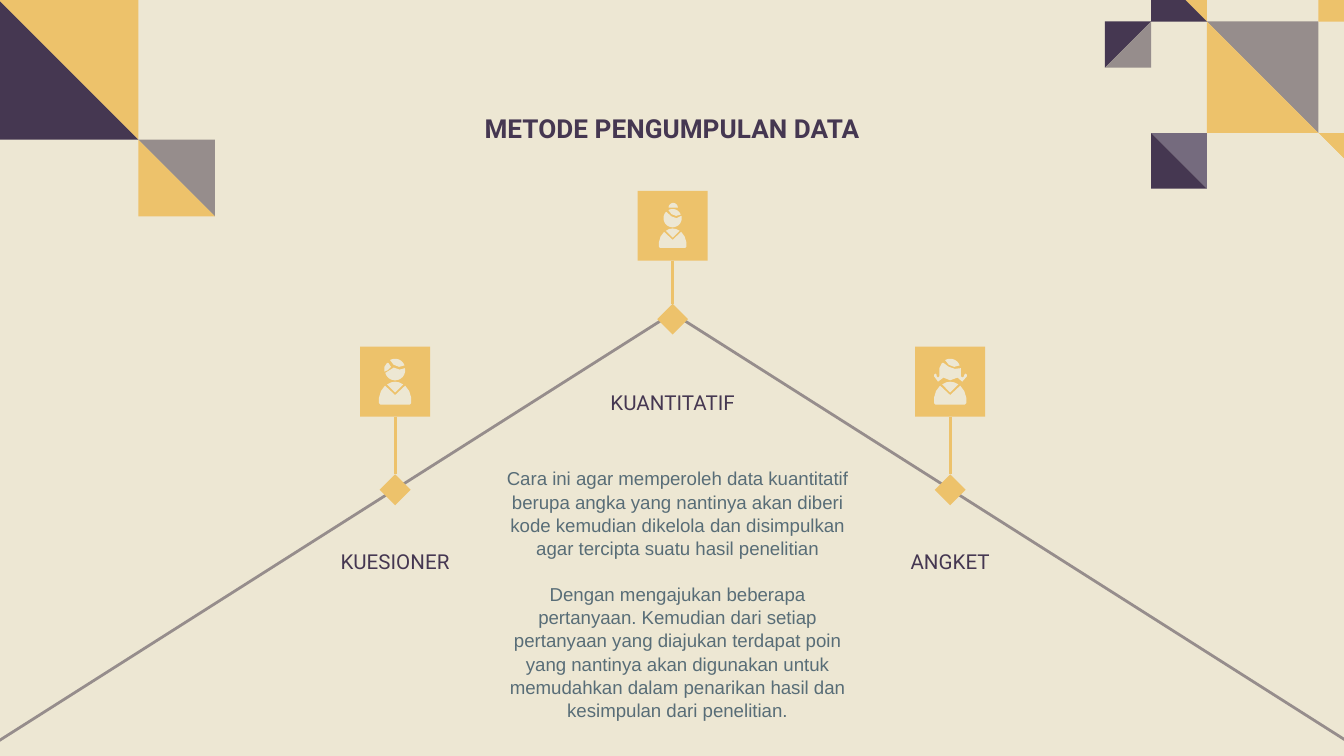
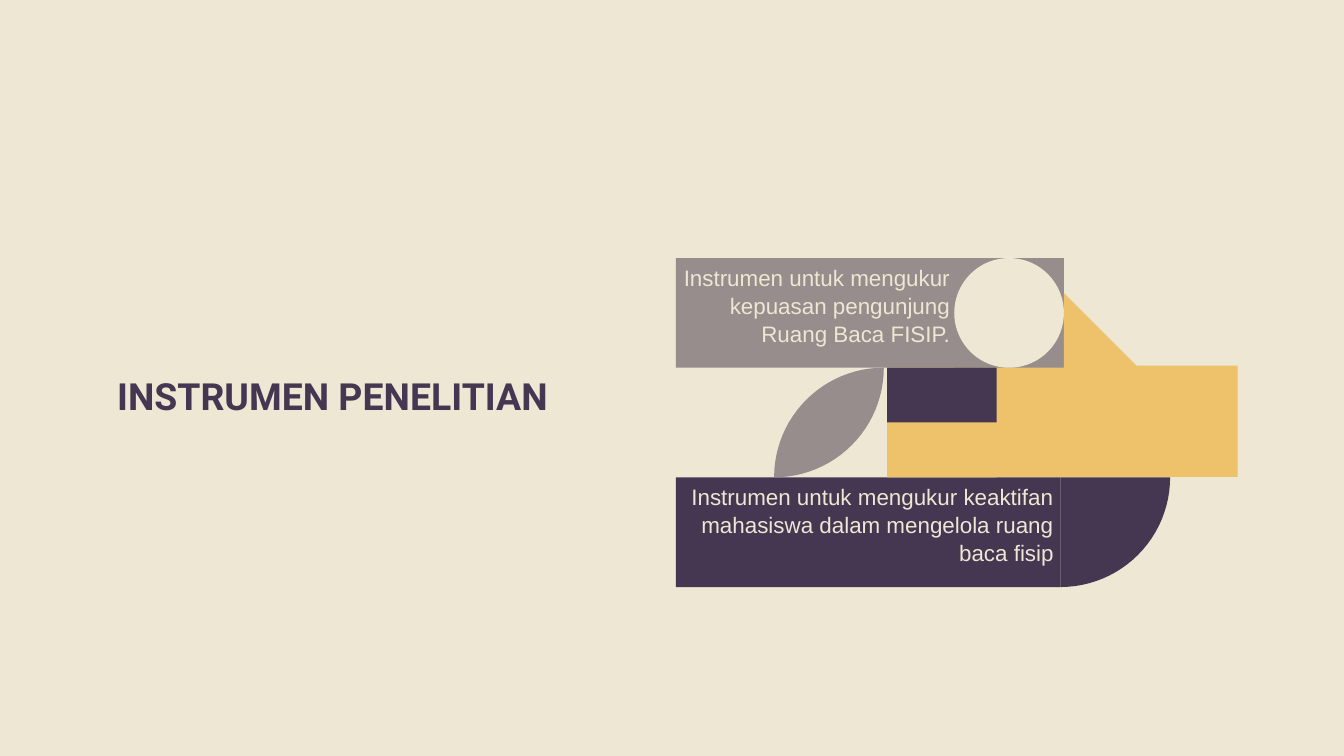
from dataclasses import dataclass
from math import cos, radians, sin

from lxml import etree
from pptx import Presentation
from pptx.dml.color import RGBColor
from pptx.enum.shapes import MSO_CONNECTOR, MSO_SHAPE
from pptx.enum.text import MSO_ANCHOR, PP_ALIGN
from pptx.oxml.ns import qn
from pptx.util import Emu, Inches, Pt

CREAM = RGBColor(0xED, 0xE7, 0xD3)
PLUM = RGBColor(0x45, 0x37, 0x51)
MAUVE = RGBColor(0x75, 0x6B, 0x7E)
GOLD = RGBColor(0xED, 0xC2, 0x6B)
TAUPE = RGBColor(0x96, 0x8D, 0x8C)
SLATE = RGBColor(0x58, 0x6D, 0x77)

RECT, DIAMOND, OVAL = MSO_SHAPE.RECTANGLE, MSO_SHAPE.DIAMOND, MSO_SHAPE.OVAL
MERGE = MSO_SHAPE.FLOWCHART_MERGE
STRAIGHT = MSO_CONNECTOR.STRAIGHT
CENTER, RIGHT = PP_ALIGN.CENTER, PP_ALIGN.RIGHT
TOP, MIDDLE, BOTTOM = MSO_ANCHOR.TOP, MSO_ANCHOR.MIDDLE, MSO_ANCHOR.BOTTOM

HEADING_FONT, BODY_FONT = "Roboto", "Arial"
SLIDE_WIDTH, SLIDE_HEIGHT = Inches(10), Inches(5.625)
COLUMNS = 100
CELL = SLIDE_WIDTH / COLUMNS
LINE_WIDTH = Pt(1.5)

Point = tuple[float, float]
Box = tuple[float, float, float, float]


@dataclass(frozen=True)
class Tile:
    left: float
    top: float
    side: float
    upper: RGBColor
    lower: RGBColor
    rising: bool = False


@dataclass(frozen=True)
class Method:
    label: str
    label_top: float
    center: float
    badge_top: float
    diamond_top: float
    portrait: list[list[Point]]
    portrait_scale: float = 1
    portrait_shift: float = 0


def cells(count: float) -> Emu:
    return Emu(round(count * CELL))


def arc(x: float, y: float, radius: float, start: int, end: int) -> list[Point]:
    steps = 24
    angles = [radians(start + (end - start) * i / steps) for i in range(steps + 1)]
    return [(x + radius * cos(a), y + radius * sin(a)) for a in angles]


def paint(shape, fill: RGBColor | None, line: RGBColor | None = None):
    shape.shadow.inherit = False
    if fill is None:
        shape.fill.background()
    else:
        shape.fill.solid()
        shape.fill.fore_color.rgb = fill
    if line is None:
        shape.line.fill.background()
    else:
        shape.line.color.rgb = line
        shape.line.width = LINE_WIDTH
    return shape


def add_preset(slide, preset, box: Box, fill: RGBColor | None, line: RGBColor | None = None):
    return paint(slide.shapes.add_shape(preset, *map(cells, box)), fill, line)


def add_outline(slide, points: list[Point], fill: RGBColor):
    corners = [(cells(x), cells(y)) for x, y in points]
    builder = slide.shapes.build_freeform(*corners[0], scale=1.0)
    builder.add_line_segments(corners[1:], close=True)
    return paint(builder.convert_to_shape(), fill)


def add_text(slide, box: Box, *paragraphs: str, size: float, color: RGBColor,
             font: str = HEADING_FONT, bold: bool = False, align=CENTER, anchor=TOP,
             insets: Box = (1, 1, 1, 1), gap: float = 0, spacing: float = 1) -> None:
    frame = slide.shapes.add_textbox(*map(cells, box)).text_frame
    frame.word_wrap = True
    frame.vertical_anchor = anchor
    frame.margin_left, frame.margin_top, frame.margin_right, frame.margin_bottom = map(cells, insets)
    for index, text in enumerate(paragraphs):
        paragraph = frame.add_paragraph() if index else frame.paragraphs[0]
        paragraph.alignment = align
        paragraph.line_spacing = spacing
        paragraph.space_before = Pt(gap if index else 0)
        run = paragraph.add_run()
        run.text = text
        run.font.name = font
        run.font.size = Pt(size)
        run.font.bold = bold
        run.font.color.rgb = color


def add_title(slide, box: Box, text: str, size: float) -> None:
    add_text(slide, box, text, size=size, color=PLUM, bold=True, anchor=MIDDLE)


def add_tile(slide, tile: Tile) -> None:
    right, bottom = tile.left + tile.side, tile.top + tile.side
    top_left, top_right = (tile.left, tile.top), (right, tile.top)
    bottom_left, bottom_right = (tile.left, bottom), (right, bottom)
    if tile.rising:
        upper, lower = [top_right, top_left, bottom_left], [top_right, bottom_right, bottom_left]
    else:
        upper, lower = [top_left, top_right, bottom_right], [top_left, bottom_left, bottom_right]
    add_outline(slide, upper, tile.upper)
    add_outline(slide, lower, tile.lower)


def add_stem(slide, badge, diamond) -> None:
    stem = slide.shapes.add_connector(STRAIGHT, 0, 0, 0, 0)
    stem.begin_connect(badge, 2)
    stem.end_connect(diamond, 0)
    stem.line.color.rgb = GOLD
    stem.line.width = LINE_WIDTH
    etree.SubElement(stem._element.spPr, qn("a:effectLst"))


BADGE, DIAMOND_SIDE = 5.2, 2.3
LABEL_WIDTH, LABEL_HEIGHT = 15.8, 4.8


def add_method(slide, method: Method) -> None:
    diamond = add_preset(slide, DIAMOND, (method.center - DIAMOND_SIDE / 2, method.diamond_top,
                                          DIAMOND_SIDE, DIAMOND_SIDE), GOLD)
    badge = add_preset(slide, RECT, (method.center - BADGE / 2, method.badge_top, BADGE, BADGE), GOLD)
    add_stem(slide, badge, diamond)
    middle = method.badge_top + BADGE / 2 + method.portrait_shift
    scale = method.portrait_scale
    for part in method.portrait:
        add_outline(slide, [(method.center + x * scale, middle + y * scale) for x, y in part], CREAM)
    add_text(slide, (method.center - LABEL_WIDTH / 2, method.label_top, LABEL_WIDTH, LABEL_HEIGHT),
             method.label, size=11, color=PLUM)


COLLAR = [(-0.6, 0.2), (-0.3, 0.05), (0, 0), (0.3, 0.05), (0.6, 0.2), (0, 0.8)]
BODY = [(-0.75, 0.3), (0, 1), (0.75, 0.3), (1.05, 0.7), (1.2, 1.2), (1.2, 1.6), (1.1, 1.7),
        (-1.1, 1.7), (-1.2, 1.6), (-1.2, 1.2), (-1.05, 0.7)]
FRINGE = arc(0, -0.95, 0.75, -120, -20) + [(0.3, -1.1), (-0.1, -1.25)]
HAIRLINE = [(-0.1, -1.05), (0.35, -0.9)]
TUFT = [(-0.6, -1.4), (-0.8, -1.1), (-0.8, -0.75), (-0.55, -0.85), (-0.3, -1.1), (-0.5, -1.4)]
PIGTAILS = [(-0.6, -1.4), (-0.8, -1), (-0.8, -0.4), (-0.9, -0.3), (-1, -0.4), (-1, -0.5), (-1.1, -0.6),
            (-1.2, -0.5), (-1.2, -0.4), (-0.9, 0), (-0.5, -0.3), (0, -0.1), (0.55, -0.3), (0.9, 0),
            (1.25, -0.4), (1.25, -0.5), (1.15, -0.6), (1.05, -0.5), (1.05, -0.4), (0.9, -0.3),
            (0.8, -0.4), (0.8, -1), (0.35, -0.95), (-0.1, -1.1), (-0.5, -1.4)]
MAN = [COLLAR, BODY, FRINGE, TUFT, arc(0, -0.85, 0.75, -12, 165) + HAIRLINE]
WOMAN = [COLLAR, BODY, FRINGE, arc(0, -0.9, 0.8, -15, 225) + HAIRLINE, arc(0.05, -1.83, 0.4, -180, 0)]
GIRL = [COLLAR, BODY, FRINGE, PIGTAILS]

MID, STEP = 50.05, 20.65
METHODS = [
    Method("KUESIONER", 39.9, MID - STEP, 25.8, 35.3, MAN),
    Method("KUANTITATIF", 28.1, MID, 14.2, 22.6, WOMAN, 0.85, 0.2),
    Method("ANGKET", 39.9, MID + STEP, 25.8, 35.3, GIRL),
]

LARGE, SMALL = 8.3, 4.14
BLOCK_LEFT, BLOCK_TOP = 89.8, 1.6
BLOCK_RIGHT, BLOCK_BOTTOM = BLOCK_LEFT + LARGE, BLOCK_TOP + LARGE
TILES = [
    Tile(-1, -0.9, 11.3, GOLD, PLUM),
    Tile(10.3, 10.4, 5.7, TAUPE, GOLD),
    Tile(BLOCK_LEFT, BLOCK_TOP, LARGE, TAUPE, GOLD),
    Tile(BLOCK_RIGHT, BLOCK_BOTTOM, SMALL, GOLD, CREAM),
    Tile(BLOCK_RIGHT, BLOCK_TOP - SMALL, SMALL, CREAM, GOLD),
    Tile(BLOCK_LEFT - SMALL, BLOCK_BOTTOM, SMALL, MAUVE, PLUM),
    Tile(BLOCK_LEFT - SMALL - 3.44, BLOCK_TOP, 3.44, PLUM, TAUPE, rising=True),
    Tile(BLOCK_LEFT - SMALL, BLOCK_TOP - SMALL, SMALL, GOLD, PLUM),
]


def build_methods(slide) -> None:
    add_title(slide, (31.4, 4.4, 37.2, 10.3), "METODE PENGUMPULAN DATA", 14)
    for tile in TILES:
        add_tile(slide, tile)
    roof = add_preset(slide, MERGE, (-3.2, 23.3, 106.5, 33.8), None, TAUPE)
    roof.rotation = 180
    for method in METHODS:
        add_method(slide, method)
    add_text(
        slide, (36.6, 33.7, 27.6, 20.7),
        "Cara ini agar memperoleh data kuantitatif berupa angka yang nantinya akan diberi kode "
        "kemudian dikelola dan disimpulkan agar tercipta suatu hasil penelitian",
        "Dengan mengajukan beberapa pertanyaan. Kemudian dari setiap pertanyaan yang diajukan "
        "terdapat poin yang nantinya akan digunakan untuk memudahkan dalam penarikan hasil dan "
        "kesimpulan dari penelitian.",
        size=10, color=SLATE, font=BODY_FONT, gap=12, spacing=1.04)


def build_instruments(slide) -> None:
    module = 8.16
    left = 50.3
    first, second, third = (19.2 + module * row for row in range(3))
    block, circle, quarter, leaf = 66, 71, 78.9, 57.6
    circle_right = circle + module

    add_title(slide, (3.5, 24.5, 42.5, 9.9), "INSTRUMEN PENELITIAN", 20)
    add_preset(slide, RECT, (left, first, circle_right - left, module), TAUPE)
    add_preset(slide, RECT, (74.1, 27.2, 18, 8.3), GOLD)
    add_preset(slide, RECT, (left, third, quarter - left, module), PLUM)
    add_preset(slide, RECT, (circle, first, module, module), TAUPE)
    add_preset(slide, OVAL, (circle, first, module, module), CREAM)
    add_outline(slide, [(circle_right, 21.8), (circle_right + 5.5, 27.3), (circle_right, 27.3)], GOLD)
    add_preset(slide, RECT, (block, second, module, module), GOLD)
    add_preset(slide, RECT, (block, second, module, module / 2), PLUM)
    add_outline(slide, [(quarter, third)] + arc(quarter, third, module, 0, 90), PLUM)
    add_outline(slide, arc(leaf + module, third, module, 270, 180) + arc(leaf, second, module, 90, 0), TAUPE)

    caption = dict(size=12, color=CREAM, font=BODY_FONT, align=RIGHT, anchor=BOTTOM, spacing=1.04)
    add_text(slide, (50, 21.4, 20.7, 6.4),
             "Instrumen untuk mengukur kepuasan pengunjung Ruang Baca FISIP.",
             insets=(0, 0.1, 0, 2), **caption)
    add_text(slide, (44, 35.5, 34.4, 6.6),
             "Instrumen untuk mengukur keaktifan mahasiswa dalam mengelola ruang baca fisip",
             insets=(5, 0.1, 0, 0), **caption)


def main() -> None:
    deck = Presentation()
    deck.slide_width, deck.slide_height = SLIDE_WIDTH, SLIDE_HEIGHT
    for build in (build_methods, build_instruments):
        slide = deck.slides.add_slide(deck.slide_layouts[6])
        slide.background.fill.solid()
        slide.background.fill.fore_color.rgb = CREAM
        build(slide)
    deck.save("out.pptx")


if __name__ == "__main__":
    main()
